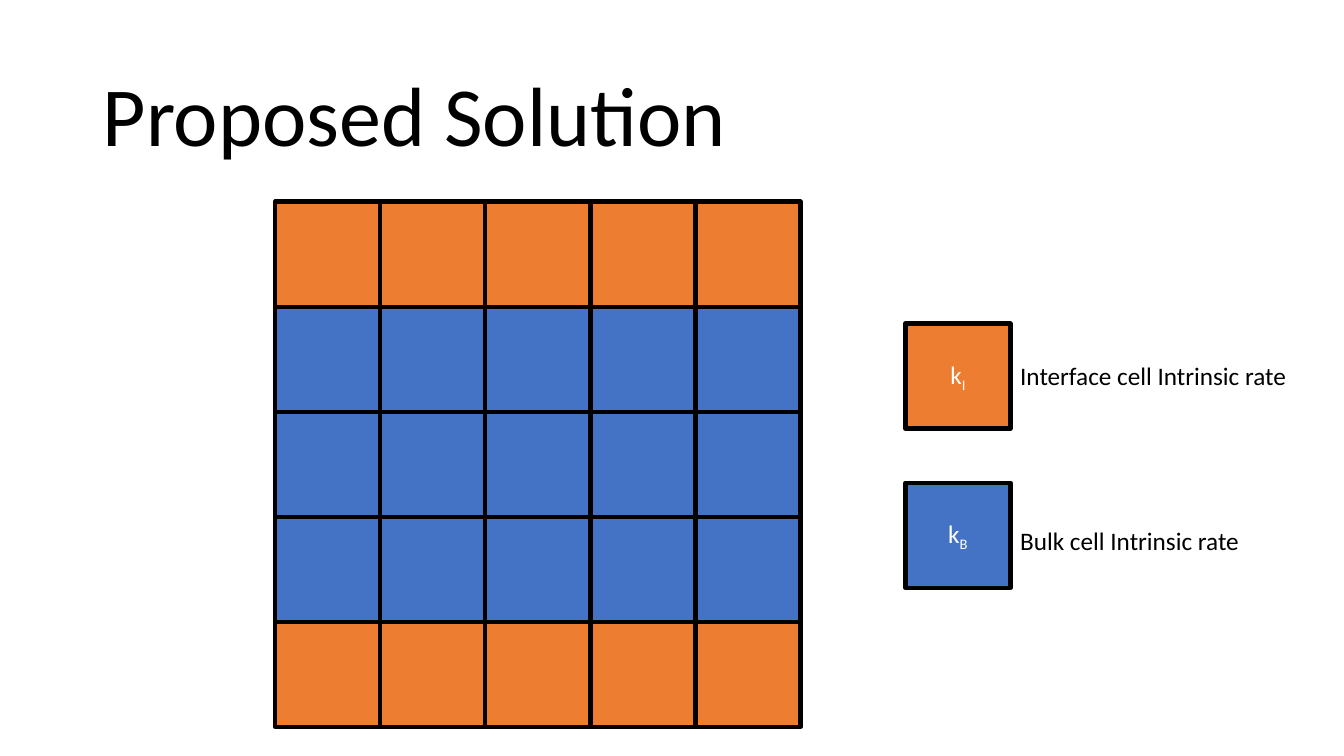
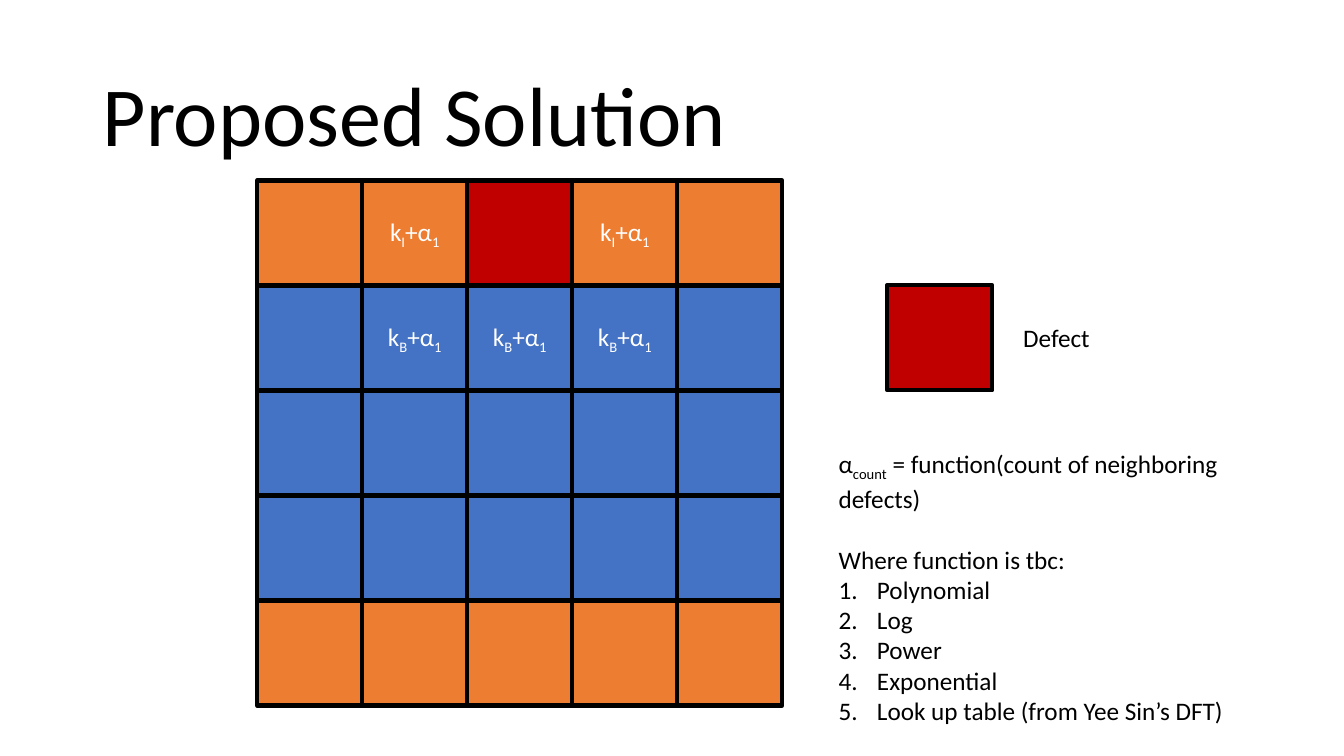
from lxml import etree
from pptx import Presentation
from pptx import util as u
from pptx.dml import color
from pptx.enum import shapes, text
from pptx.oxml import ns

FACE = "Calibri"
BLACK, WHITE = "000000", "FFFFFF"
FACET, BULK, DEFECT = "ED7D31", "4472C4", "C00000"
ROWS = [FACET, BULK, BULK, BULK, FACET]
COUNT = 5
SIDE = 5.21 / COUNT


def rgb(tone):
    """Turn a hex string into a colour."""
    return color.RGBColor.from_string(tone)


def write(para, words, size=18, tone=BLACK):
    """Fill a paragraph; every second part between bars is a subscript."""
    for i, part in enumerate(words.split("|")):
        run = para.add_run()
        run.text = part
        if i % 2:
            run._r.get_or_add_rPr().set("baseline", "-25000")
    font = para.font
    font.name, font.size = FACE, u.Pt(size)
    font.color.rgb = rgb(tone)


def number(para):
    """Give a paragraph a hanging automatic number."""
    props = para._p.get_or_add_pPr()
    props.set("marL", str(u.Inches(0.38)))
    props.set("indent", str(-u.Inches(0.38)))
    etree.SubElement(props, ns.qn("a:buAutoNum"), type="arabicPeriod")


def box(slide, left, top, wide, high, wrap=True):
    """Add a text box and return its frame."""
    area = slide.shapes.add_textbox(
        u.Inches(left), u.Inches(top), u.Inches(wide), u.Inches(high))
    area.text_frame.word_wrap = wrap
    return area.text_frame


def label(slide, left, top, wide, words):
    """Add a one-line label."""
    frame = box(slide, left, top, wide, 0.4, wrap=False)
    write(frame.paragraphs[0], words)


def cell(slide, left, top, tone, words=""):
    """Add one outlined square with optional centred text."""
    square = slide.shapes.add_shape(
        shapes.MSO_SHAPE.RECTANGLE,
        u.Inches(left), u.Inches(top), u.Inches(SIDE), u.Inches(SIDE))
    square.shadow.inherit = False
    square.fill.solid()
    square.fill.fore_color.rgb = rgb(tone)
    square.line.color.rgb = rgb(BLACK)
    square.line.width = u.Pt(3)
    if words:
        frame = square.text_frame
        frame.vertical_anchor = text.MSO_ANCHOR.MIDDLE
        para = frame.paragraphs[0]
        para.alignment = text.PP_ALIGN.CENTER
        write(para, words, tone=WHITE)


def grid(slide, left, top, tones=None, marks=None):
    """Add the lattice; tones and marks are keyed by (row, column)."""
    tones, marks = tones or {}, marks or {}
    for row, tone in enumerate(ROWS):
        for col in range(COUNT):
            spot = row, col
            cell(slide, left + col * SIDE, top + row * SIDE,
                 tones.get(spot, tone), marks.get(spot, ""))


def start(deck):
    """Add a blank slide with the shared title."""
    slide = deck.slides.add_slide(deck.slide_layouts[6])
    frame = box(slide, 0.92, 0.23, 11.5, 1.45)
    frame.vertical_anchor = text.MSO_ANCHOR.BOTTOM
    para = frame.paragraphs[0]
    para.line_spacing = 0.9
    write(para, "Proposed Solution", size=60)
    return slide


def rates(deck):
    """Build the slide of intrinsic rates."""
    slide = start(deck)
    grid(slide, 2.73, 2)
    cell(slide, 8.98, 3.21, FACET, "k|I")
    label(slide, 10.02, 3.53, 2.87, "Interface cell Intrinsic rate")
    cell(slide, 8.98, 4.79, BULK, "k|B")
    label(slide, 10.02, 5.16, 2.39, "Bulk cell Intrinsic rate")


def defects(deck):
    """Build the slide of rates next to a defect."""
    slide = start(deck)
    near = {(0, col): "k|I|+α|1" for col in (1, 3)}
    near.update({(1, col): "k|B|+α|1" for col in (1, 2, 3)})
    grid(slide, 2.55, 1.79, {(0, 2): DEFECT}, near)
    cell(slide, 8.8, 2.83, DEFECT)
    label(slide, 10.05, 3.15, 0.87, "Defect")

    frame = box(slide, 8.22, 4.4, 4.54, 2.83)
    write(frame.paragraphs[0],
          "α|count| = function(count of neighboring defects)")
    lead = frame.add_paragraph()
    lead.space_before = u.Pt(22)
    write(lead, "Where function is tbc:")
    for kind in ("Polynomial", "Log", "Power", "Exponential",
                 "Look up table (from Yee Sin’s DFT)"):
        para = frame.add_paragraph()
        number(para)
        write(para, kind)


def main():
    """Build and save the deck."""
    deck = Presentation()
    deck.slide_width, deck.slide_height = u.Inches(13.33), u.Inches(7.5)
    rates(deck)
    defects(deck)
    deck.save("out.pptx")


main()
